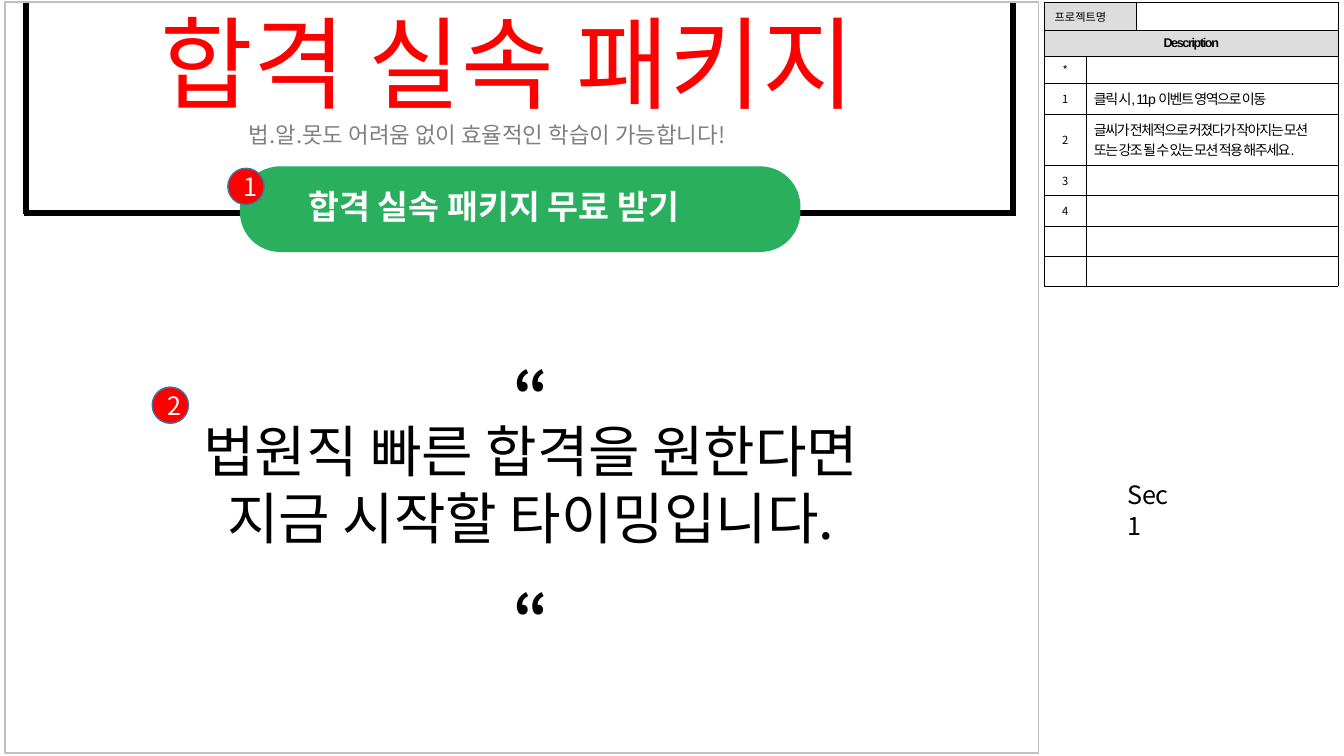
import pptx
import pptx.util
import pptx.dml.color
import pptx.enum.shapes
import pptx.enum.text
import pptx.oxml
import pptx.oxml.ns

Inches, Pt = pptx.util.Inches, pptx.util.Pt
Shape = pptx.enum.shapes.MSO_SHAPE
Align = pptx.enum.text.PP_ALIGN
Anchor = pptx.enum.text.MSO_ANCHOR
FONT = "Noto Sans CJK KR"


def color(code):
    return pptx.dml.color.RGBColor.from_string(code)


def node(tag, **attrs):
    item = pptx.oxml.parse_xml(f"<a:{tag} {pptx.oxml.ns.nsdecls('a')}/>")
    for name, value in attrs.items():
        item.set(name, str(value))
    return item


def write(frame, text, size=18, ink="000000", font=FONT, bold=False,
          align=Align.LEFT, anchor=Anchor.TOP, space=0):
    frame.word_wrap = True
    frame.vertical_anchor = anchor
    for i, line in enumerate(text.split("\n")):
        para = frame.add_paragraph() if i else frame.paragraphs[0]
        para.alignment = align
        if not line:
            para._p.append(node("endParaRPr", sz=size * 100))
            continue
        run = para.add_run()
        run.text = line
        run.font.size = Pt(size)
        run.font.bold = bold
        run.font.name = font
        run.font.color.rgb = color(ink)
        props = run._r.get_or_add_rPr()
        props.append(node("ea", typeface=FONT))
        if space:
            props.set("spc", str(space * 100))


class Page:
    """Holds the slide and the shared style of its parts."""
    ink, red, green, gray = "000000", "FF0000", "29AF5D", "DDDDDD"

    def __init__(self, deck):
        self.slide = deck.slides.add_slide(deck.slide_layouts[5])
        self.shapes = self.slide.shapes

    def title(self, text, box, **style):
        item = self.shapes.title
        item.left, item.top, item.width, item.height = map(Inches, box)
        item.text_frame.auto_size = pptx.enum.text.MSO_AUTO_SIZE.NONE
        write(item.text_frame, text, **style)

    def text(self, text, box, **style):
        item = self.shapes.add_textbox(*map(Inches, box))
        write(item.text_frame, text, **style)

    def shape(self, kind, box, fill=None, line=None):
        item = self.shapes.add_shape(kind, *map(Inches, box))
        item.shadow.inherit = False
        if fill:
            item.fill.solid()
            item.fill.fore_color.rgb = color(fill)
        else:
            item.fill.background()
        if line:
            item.line.color.rgb = color(line)
            item.line.width = Pt(1)
        else:
            item.line.fill.background()
        return item

    def line(self, *ends):
        item = self.shapes.add_connector(
            pptx.enum.shapes.MSO_CONNECTOR.STRAIGHT, *map(Inches, ends))
        item.line.color.rgb = color(self.ink)
        item.line.width = Pt(4.5)
        item._element.spPr.append(node("effectLst"))

    def badge(self, text, left, top):
        item = self.shape(Shape.OVAL, (left, top, 0.36, 0.36), self.red, "43739E")
        write(item.text_frame, text, ink="FFFFFF", align=Align.CENTER,
              anchor=Anchor.MIDDLE)

    def cell(self, cell, text="", fill="FFFFFF", pad=0.1, **style):
        cell.margin_left = cell.margin_right = Inches(pad)
        cell.fill.solid()
        cell.fill.fore_color.rgb = color(fill)
        write(cell.text_frame, text, **style)
        cell.vertical_anchor = style.get("anchor", Anchor.TOP)

    def table(self, left, top, cols, rows):
        grid = self.shapes.add_table(
            len(rows), len(cols), *map(Inches, (left, top, sum(cols), sum(rows)))).table
        for col, width in zip(grid.columns, cols):
            col.width = Inches(width)
        for row, height in zip(grid.rows, rows):
            row.height = Inches(height)
        return grid

    def border(self, grid):
        for cell in grid.iter_cells():
            props = cell._tc.get_or_add_tcPr()
            for i, side in enumerate(("lnL", "lnR", "lnT", "lnB")):
                edge = node(side, w=Pt(0.25))
                fill = node("solidFill")
                fill.append(node("srgbClr", val=self.ink))
                edge.append(fill)
                props.insert(i, edge)


def main():
    deck = pptx.Presentation()
    deck.slide_width, deck.slide_height = Inches(13.33), Inches(7.5)
    page = Page(deck)

    # Screen area and thick frame
    page.shape(Shape.RECTANGLE, (0.05, 0.02, 10.25, 7.45), line="C0C0C0")
    page.line(0.24, 2.11, 10.08, 2.11)
    for x in (0.26, 10.05):
        page.line(x, 0.03, x, 2.12)

    # Heading and button
    page.title("합격 실속 패키지", (1.49, -0.04, 7.56, 1.31), size=72, ink=page.red)
    page.text("법.알.못도 어려움 없이 효율적인 학습이 가능합니다!",
              (2.37, 1.15, 5.47, 0.37), size=16, ink="808080")
    button = page.shape(Shape.ROUNDED_RECTANGLE, (2.38, 1.65, 5.56, 0.85), page.green)
    button.adjustments[0] = 0.47
    page.text("합격 실속 패키지 무료 받기", (2.96, 1.8, 4.38, 0.5),
              size=24, ink="FFFFFF", bold=True)

    # Quotation
    page.text("법원직 빠른 합격을 원한다면\n지금 시작할 타이밍입니다.",
              (1.69, 4.08, 7.15, 1.45), size=40, align=Align.CENTER)
    for top in (3.48, 5.69):
        page.text("“", (4.99, top, 0.49, 0.84), size=44, bold=True)

    # Number badges and section label
    page.badge("1", 2.26, 1.67)
    page.badge("2", 1.51, 3.84)
    page.text("Sec1", (11.08, 4.71, 0.73, 0.4))

    # Description table
    notes = [("*", ""), ("1", "클릭 시, 11p 이벤트 영역으로 이동"),
             ("2", "글씨가 전체적으로 커졌다가 작아지는 모션 또는 강조 될 수 있는 모션 적용 해주세요."),
             ("3", ""), ("4", ""), ("", ""), ("", "")]
    grid = page.table(10.36, 0.02, (0.41, 0.5, 2),
                      (0.28, 0.26, 0.27, 0.3, 0.51, 0.3, 0.3, 0.3, 0.3))
    grid.cell(0, 0).merge(grid.cell(0, 1))
    grid.cell(1, 0).merge(grid.cell(1, 2))
    page.cell(grid.cell(0, 0), "프로젝트명", page.gray, size=8, anchor=Anchor.MIDDLE)
    page.cell(grid.cell(0, 2), size=8)
    page.cell(grid.cell(1, 0), "Description", page.gray, size=9, font="Arial",
              bold=True, space=-1, align=Align.CENTER, anchor=Anchor.MIDDLE)
    for row, (mark, note) in enumerate(notes, 2):
        grid.cell(row, 1).merge(grid.cell(row, 2))
        page.cell(grid.cell(row, 0), mark, pad=0.04, size=8,
                  align=Align.CENTER, anchor=Anchor.MIDDLE)
        page.cell(grid.cell(row, 1), note, pad=0.08, size=10 if note else 8,
                  font="Arial", space=-1)
    page.border(grid)

    deck.save("out.pptx")


if __name__ == "__main__":
    main()
